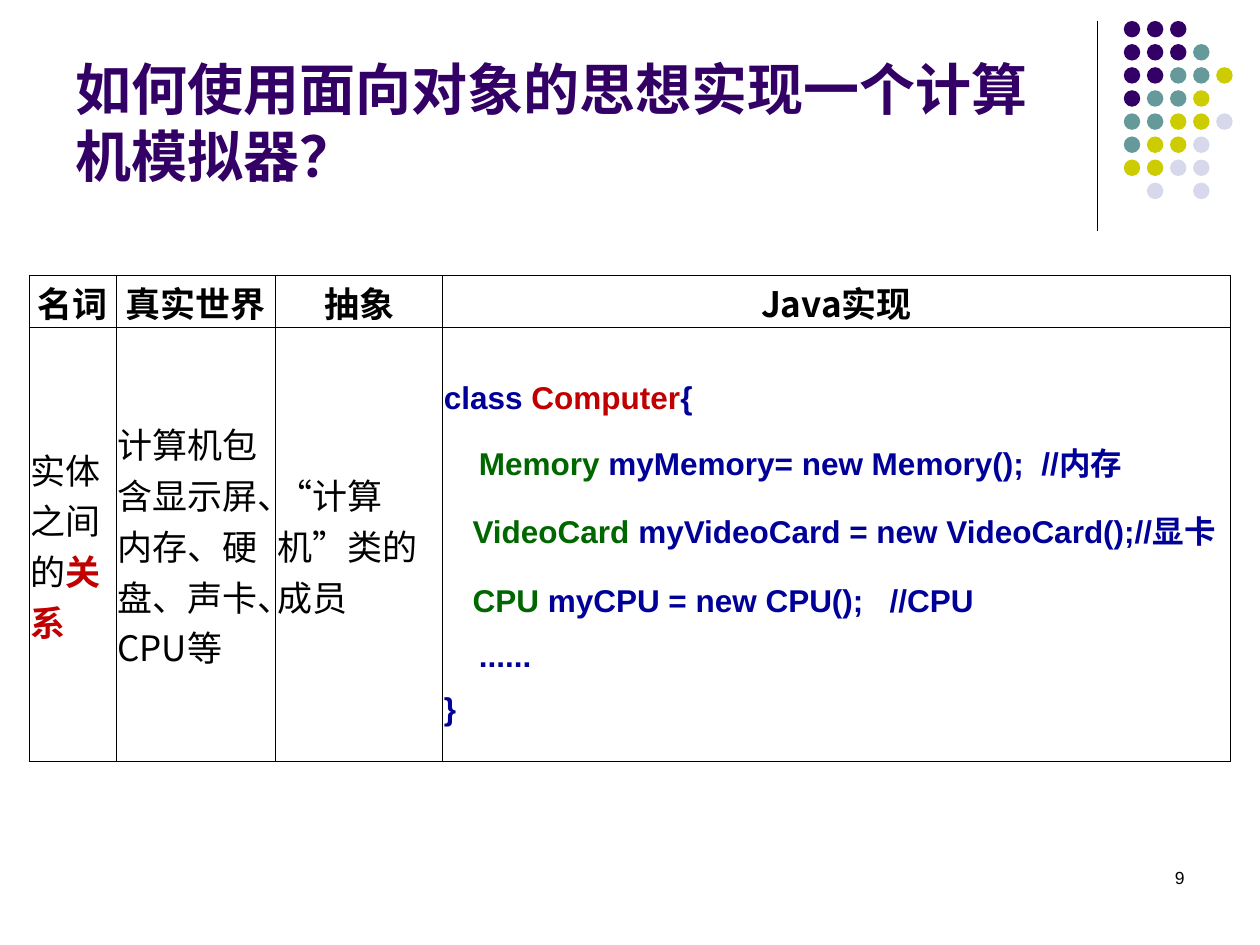
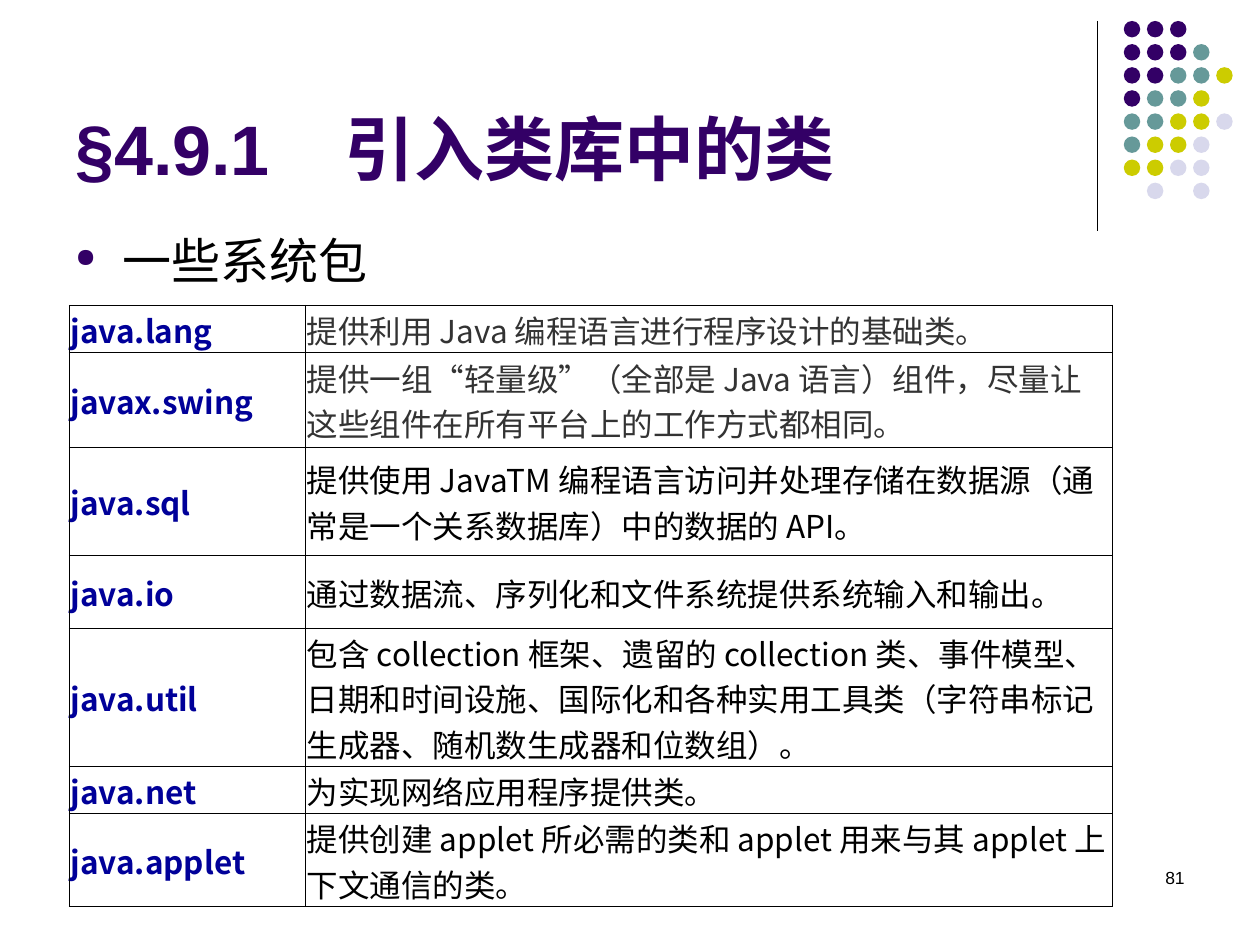
from lxml import etree
from pptx import Presentation
from pptx import util as u
from pptx.dml.color import RGBColor
from pptx.enum import shapes, text
from pptx.oxml.ns import qn

Pt = u.Pt
COLORS = {
    "purple": "330066", "teal": "669999", "olive": "CCCC00", "lilac": "D8D8EC",
    "black": "000000", "gray": "333333", "navy": "000099", "red": "C00000",
    "green": "006600",
}
LATIN, CJK, CJK_JP = "Arial", "Noto Sans CJK SC", "Noto Sans CJK JP"

# Corner ornament: one letter for each dot
DOT_ROWS = ["PPP", "PPPT", "PPTTY", "PTTY", "TTYYL", "TYYL", "YYLL", " L L"]
DOT_COLORS = {"P": "purple", "T": "teal", "Y": "olive", "L": "lilac"}
DOT_LEFT, DOT_TOP, DOT_SIZE, DOT_PITCH = 642.2, 12, 9.4, 13.2

# Table contents: a cell is a list of (text, colour, bold) runs
HEADERS = ["名词", "真实世界", "抽象", "Java实现"]
RELATION_CELLS = [
    [("实体之间的", "black", False), ("关系", "red", True)],
    [("计算机包含显示屏、内存、硬盘、声卡、CPU等", "black", False)],
    [("“计算机”类的成员", "black", False)],
]
CODE = [
    ("class ", "navy", True), ("Computer", "red", True),
    ("{\n    ", "navy", True), ("Memory ", "green", True),
    ("myMemory= new Memory();  //内存\n    ", "navy", True),
    ("VideoCard ", "green", True),
    ("myVideoCard = new VideoCard();//显卡\n    ", "navy", True),
    ("CPU ", "green", True),
    ("myCPU = new CPU();   //CPU\n    ......\n}", "navy", True),
]
PACKAGES = [  # name, description, description colour, row height
    ("java.lang", "提供利用 Java 编程语言进行程序设计的基础类。", "gray", 26.8),
    ("javax.swing", "提供一组“轻量级”（全部是 Java 语言）组件，尽量让这些组件在所有"
     "平台上的工作方式都相同。", "gray", 54.4),
    ("java.sql", "提供使用 JavaTM 编程语言访问并处理存储在数据源（通常是一个关系"
     "数据库）中的数据的 API。", "black", 61.8),
    ("java.io", "通过数据流、序列化和文件系统提供系统输入和输出。", "black", 41.7),
    ("java.util", "包含 collection 框架、遗留的 collection 类、事件模型、日期和时间设施、"
     "国际化和各种实用工具类（字符串标记生成器、随机数生成器和位数组）。", "black", 79),
    ("java.net", "为实现网络应用程序提供类。", "black", 26.8),
    ("java.applet", "提供创建 applet 所必需的类和 applet 用来与其 applet 上下文通信的类。",
     "black", 53.2),
]


def rgb(name):
    return RGBColor.from_string(COLORS[name])


def set_font(p, size, name=LATIN, color="black", bold=False):
    p.font.size, p.font.name, p.font.bold = Pt(size), name, bold
    p.font.color.rgb = rgb(color)
    def_rpr = p._p.pPr.find(qn("a:defRPr"))
    etree.SubElement(def_rpr, qn("a:ea"), typeface=CJK)


def add_text(s, box, content, size, color="black", bold=False,
             align=text.PP_ALIGN.LEFT, anchor=text.MSO_ANCHOR.TOP):
    tf = s.shapes.add_textbox(*map(Pt, box)).text_frame
    tf.word_wrap, tf.vertical_anchor = True, anchor
    p = tf.paragraphs[0]
    p.text, p.alignment = content, align
    set_font(p, size, color=color, bold=bold)
    return p


def insert_before_font(p, tag, **attributes):
    """Add a paragraph property element ahead of the default font."""
    element = etree.Element(qn(tag), **attributes)
    p._p.pPr.find(qn("a:defRPr")).addprevious(element)
    return element


def add_title(s, content, width, size, tab=None):
    p = add_text(s, (36, 9.4, width, 102.2), content, size, "purple", True,
                 anchor=text.MSO_ANCHOR.BOTTOM)
    if tab:
        tabs = insert_before_font(p, "a:tabLst")
        etree.SubElement(tabs, qn("a:tab"), pos=str(Pt(tab)), algn="l")


def add_bullet(s, box, content):
    p = add_text(s, box, content, 28)
    p._p.pPr.set("marL", str(Pt(27)))
    p._p.pPr.set("indent", str(Pt(-27)))
    color = insert_before_font(p, "a:buClr")
    etree.SubElement(color, qn("a:srgbClr"), val=COLORS["purple"])
    insert_before_font(p, "a:buSzPct", val="53000")
    insert_before_font(p, "a:buChar", char="●")


def add_ornament(s):
    rule = s.shapes.add_connector(shapes.MSO_CONNECTOR.STRAIGHT,
                                  Pt(627), Pt(12), Pt(627), Pt(132))
    rule.line.color.rgb, rule.line.width = rgb("black"), Pt(0.75)
    etree.SubElement(rule._element.spPr, qn("a:effectLst"))
    dots = s.shapes.add_group_shape()
    for row, letters in enumerate(DOT_ROWS):
        for col, letter in enumerate(letters):
            if letter == " ":
                continue
            sp = dots.shapes.add_shape(
                shapes.MSO_SHAPE.OVAL, Pt(DOT_LEFT + col * DOT_PITCH),
                Pt(DOT_TOP + row * DOT_PITCH), Pt(DOT_SIZE), Pt(DOT_SIZE))
            sp.shadow.inherit = False
            sp.fill.solid()
            sp.fill.fore_color.rgb = rgb(DOT_COLORS[letter])
            sp.line.fill.background()


def add_grid(s, left, top, widths, heights):
    table = s.shapes.add_table(len(heights), len(widths), Pt(left), Pt(top),
                               Pt(sum(widths)), Pt(sum(heights))).table
    table.first_row = table.horz_banding = False
    for column, width in zip(table.columns, widths):
        column.width = Pt(width)
    for row, height in zip(table.rows, heights):
        row.height = Pt(height)
    return table


def fill_cell(cell, runs, size, name=CJK, align=text.PP_ALIGN.LEFT, spacing=None):
    cell.vertical_anchor = text.MSO_ANCHOR.MIDDLE
    cell.margin_left = cell.margin_right = cell.margin_top = Pt(0.72)
    cell.margin_bottom = 0
    # Borders go in ahead of the fill
    for side in "LRTB":
        ln = etree.SubElement(cell._tc.get_or_add_tcPr(), qn(f"a:ln{side}"),
                              w=str(Pt(0.5)))
        fill = etree.SubElement(ln, qn("a:solidFill"))
        etree.SubElement(fill, qn("a:srgbClr"), val=COLORS["black"])
    cell.fill.background()

    p = cell.text_frame.paragraphs[0]
    p.alignment = align
    if spacing:
        p.line_spacing = spacing
    _, color, bold = runs[0]
    set_font(p, size, name, color, bold)
    for content, run_color, run_bold in runs:
        for i, line in enumerate(content.split("\n")):
            if i:
                p.add_line_break()
            r = p.add_run()
            r.text = line
            if run_color != color:
                r.font.color.rgb = rgb(run_color)
            if run_bold != bold:
                r.font.bold = run_bold


def add_slide(prs, number):
    s = prs.slides.add_slide(prs.slide_layouts[6])
    add_ornament(s)
    add_text(s, (516, 492, 168, 36), str(number), 10, align=text.PP_ALIGN.RIGHT)
    return s


def build_simulator_slide(prs):
    s = add_slide(prs, 9)
    add_title(s, "如何使用面向对象的思想实现一个计算机模拟器？", 566, 32)
    table = add_grid(s, 16.7, 157.4, [49.7, 91.2, 95.4, 450], [29.7, 248])
    for col, header in enumerate(HEADERS):
        fill_cell(table.cell(0, col), [(header, "black", True)], 20,
                  align=text.PP_ALIGN.CENTER)
    for col, runs in enumerate(RELATION_CELLS):
        fill_cell(table.cell(1, col), runs, 20)
    fill_cell(table.cell(1, 3), CODE, 18, LATIN, spacing=1.5)


def build_packages_slide(prs):
    s = add_slide(prs, 81)
    add_title(s, "§4.9.1\t引入类库中的类", 594, 40, tab=154)
    add_bullet(s, (36, 128, 648, 354), "一些系统包")
    table = add_grid(s, 39.6, 174.4, [135, 461.2], [row[3] for row in PACKAGES])
    for i, (package_name, description, color, _) in enumerate(PACKAGES):
        fill_cell(table.cell(i, 0), [(package_name, "navy", True)], 18, CJK_JP)
        fill_cell(table.cell(i, 1), [(description, color, False)], 18, CJK_JP)


def main():
    prs = Presentation()
    prs.slide_width, prs.slide_height = Pt(720), Pt(540)
    build_simulator_slide(prs)
    build_packages_slide(prs)
    prs.save("out.pptx")


if __name__ == "__main__":
    main()
